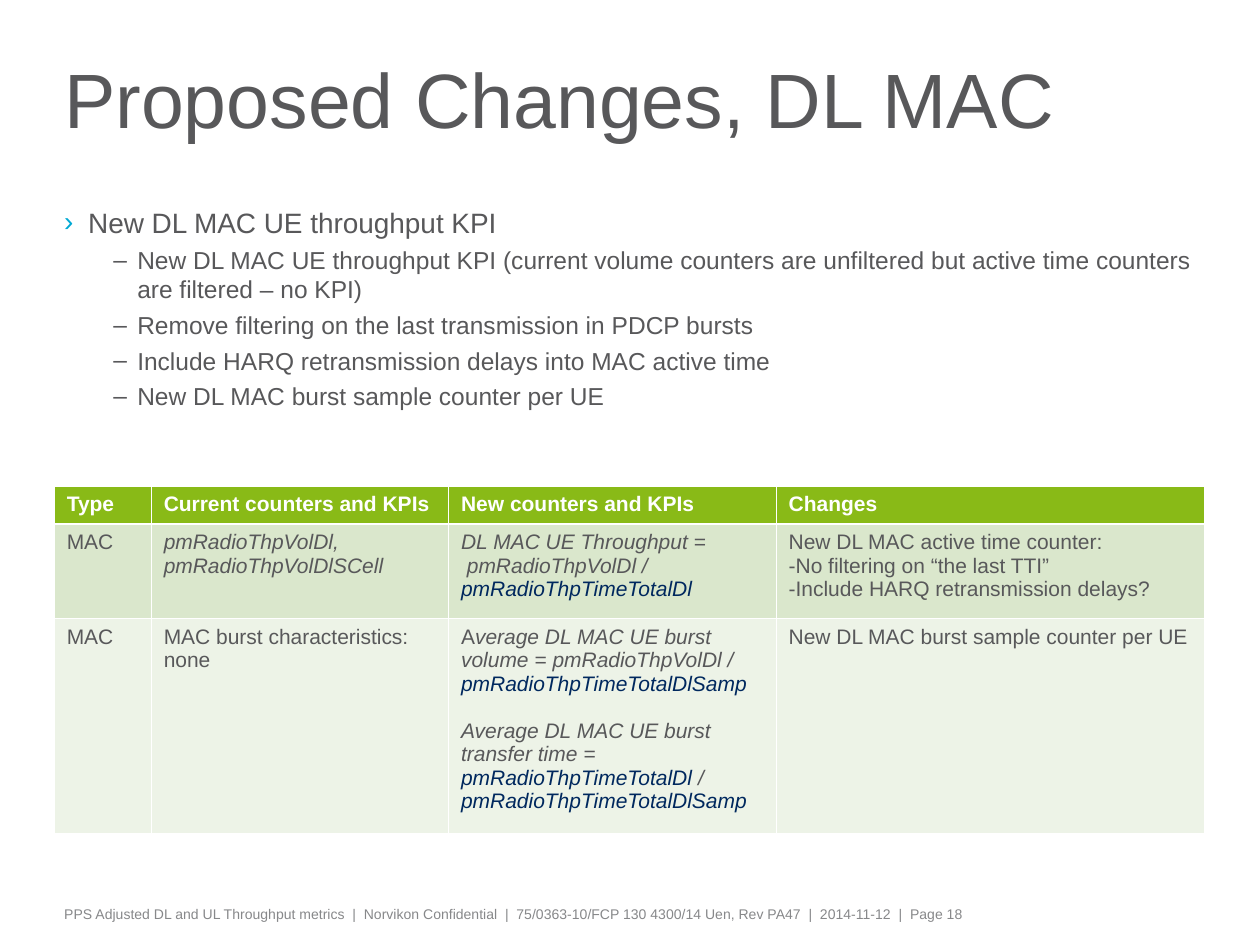
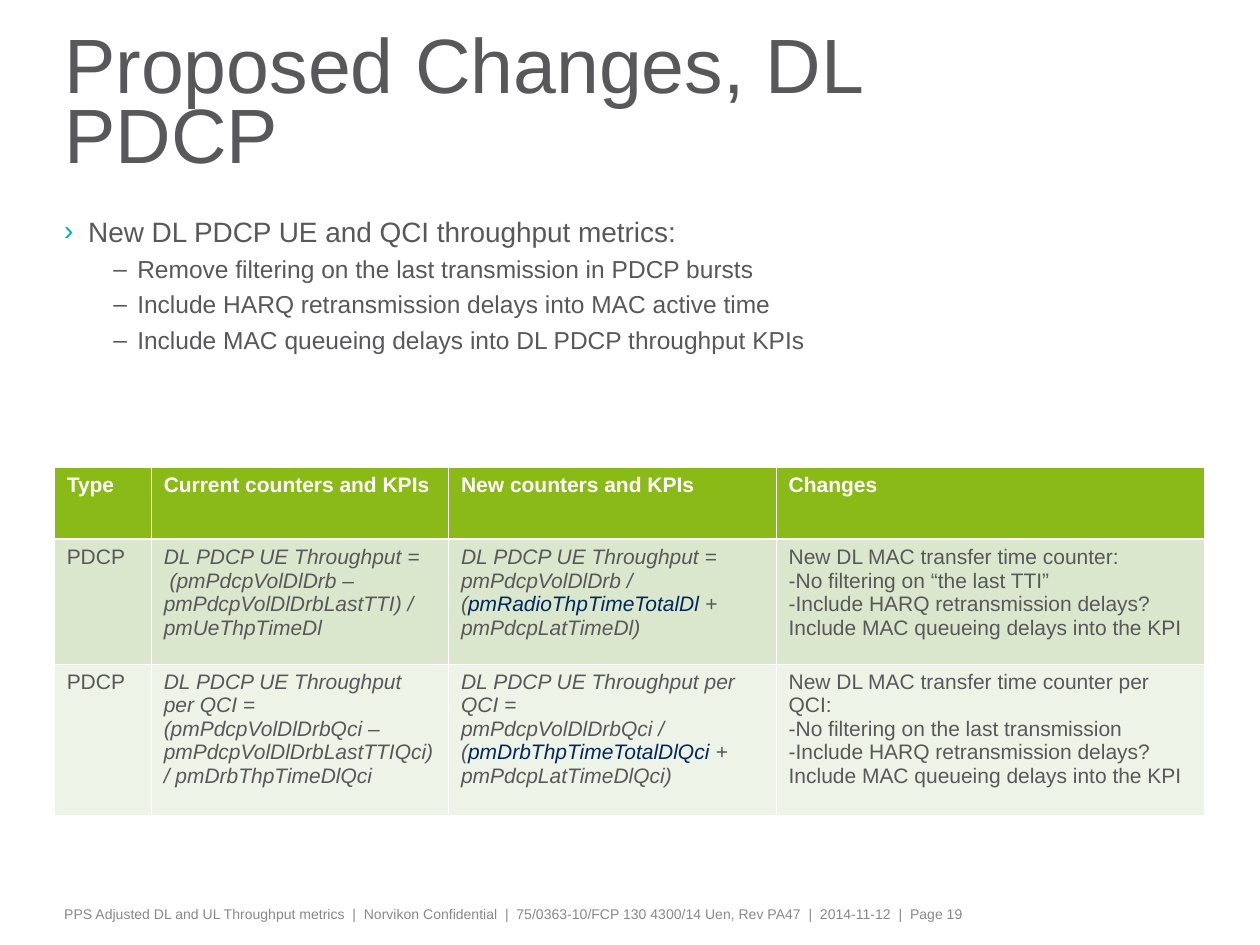
from collections import namedtuple
from dataclasses import dataclass

from lxml import etree
from pptx import Presentation
from pptx import util as u
from pptx.dml.color import RGBColor
from pptx.enum import text
from pptx.oxml.ns import qn


@dataclass(frozen=True)
class Theme:
    font: str = "Arial"
    body: str = "58585A"
    muted: str = "87888A"
    navy: str = "00285E"
    white: str = "FFFFFF"
    accent: str = "00A9D4"
    header_fill: str = "89BA17"
    row_fills: tuple = ("DAE7CC", "EDF3E7")
    title_size: float = 44
    bullet_sizes: tuple = (16, 14)
    table_size: float = 12
    footer_size: float = 8
    thin_line: float = 0.45
    thick_line: float = 1.47


THEME = Theme()
WIDTH, HEIGHT = u.Inches(10), u.Inches(7.5)

# Shared grid, in percent of the slide's width or height
LEFT, CONTENT_WIDTH, TITLE_WIDTH, FOOTER_WIDTH = 4.3, 91.3, 82, 80.9
COLUMNS = (7.7, 23.6, 26, 34)
HEADINGS = ("Type", "Current counters and KPIs", "New counters and KPIs", "Changes")
FOOTER = ("PPS Adjusted DL and UL Throughput metrics  |  Norvikon Confidential  |  "
          "75/0363-10/FCP 130 4300/14 Uen, Rev PA47  |  2014-11-12  |  Page {}")

# Styled pieces of a table cell
Span = namedtuple("Span", "text color italic bold")


def plain(words):
    return Span(words, THEME.body, False, False)


def formula(words):
    return Span(words, THEME.body, True, False)


def counter(words):
    return Span(words, THEME.navy, True, False)


def heading(words):
    return Span(words, THEME.white, False, True)


def lines(style, *texts):
    return [[style(words)] for words in texts]


def across(percent):
    return round(WIDTH * percent / 100)


def down(percent):
    return round(HEIGHT * percent / 100)


def style_font(font, size, color, bold=False, italic=False):
    font.name, font.size = THEME.font, u.Pt(size)
    font.bold, font.italic = bold, italic
    font.color.rgb = RGBColor.from_string(color)


def set_frame(frame, vertical_inset=0.0, anchor=text.MSO_ANCHOR.TOP):
    frame.word_wrap = True
    frame.auto_size = text.MSO_AUTO_SIZE.NONE
    frame.vertical_anchor = anchor
    frame.margin_left = frame.margin_right = u.Inches(0.08)
    frame.margin_top = frame.margin_bottom = u.Inches(vertical_inset)


def add_box(page, top, width, height, vertical_inset=0.0):
    box = page.shapes.add_textbox(across(LEFT), down(top), across(width), down(height))
    set_frame(box.text_frame, vertical_inset)
    return box.text_frame


def add_title(page, words):
    title = page.shapes.title
    title.left, title.top = across(LEFT), down(3.47)
    title.width, title.height = across(TITLE_WIDTH), down(15.87)
    frame = title.text_frame
    frame.text = words
    set_frame(frame, anchor=text.MSO_ANCHOR.MIDDLE)
    para = frame.paragraphs[0]
    para.alignment = text.PP_ALIGN.LEFT
    para.line_spacing = 0.75
    style_font(para.runs[0].font, THEME.title_size, THEME.body)


def add_footer(page, number):
    frame = add_box(page, 95.2, FOOTER_WIDTH, 3.2, 0.05)
    frame.text = FOOTER.format(number)
    style_font(frame.paragraphs[0].runs[0].font, THEME.footer_size, THEME.muted)


def set_bullet(para, character, color, indent):
    properties = para._p.get_or_add_pPr()
    properties.set("marL", str(u.Inches(indent)))
    properties.set("indent", str(-u.Inches(0.19)))
    bullet_color = etree.SubElement(properties, qn("a:buClr"))
    etree.SubElement(bullet_color, qn("a:srgbClr"), val=color)
    etree.SubElement(properties, qn("a:buFont"), typeface=THEME.font)
    etree.SubElement(properties, qn("a:buChar"), char=character)


def add_bullets(page, top, height, lead, points):
    frame = add_box(page, top, CONTENT_WIDTH, height)
    frame.text = "\n".join([lead, *points])
    for index, para in enumerate(frame.paragraphs):
        para.level = min(index, 1)
        if index == 0:
            set_bullet(para, "›", THEME.accent, 0.19)
        else:
            set_bullet(para, "–", THEME.body, 0.58)
            para.space_before = u.Pt(3.5)
        style_font(para.runs[0].font, THEME.bullet_sizes[para.level], THEME.body)


def set_borders(cell, top, bottom):
    properties = cell._tc.get_or_add_tcPr()
    widths = {"a:lnL": THEME.thin_line, "a:lnR": THEME.thin_line,
              "a:lnT": top, "a:lnB": bottom}
    for index, (tag, width) in enumerate(widths.items()):
        line = etree.Element(qn(tag), w=str(u.Pt(width)))
        fill = etree.SubElement(line, qn("a:solidFill"))
        etree.SubElement(fill, qn("a:srgbClr"), val=THEME.white)
        properties.insert(index, line)


def fill_cell(cell, paragraphs, fill, gap):
    cell.margin_left = cell.margin_right = u.Inches(0.1)
    cell.margin_top = cell.margin_bottom = u.Inches(0.05)
    cell.fill.solid()
    cell.fill.fore_color.rgb = RGBColor.from_string(fill)
    frame = cell.text_frame
    for index, spans in enumerate(paragraphs):
        para = frame.add_paragraph() if index else frame.paragraphs[0]
        if index and gap:
            para.space_before = u.Pt(gap)
        for span in spans:
            run = para.add_run()
            run.text = span.text
            style_font(run.font, THEME.table_size, span.color, span.bold, span.italic)


def add_counter_table(page, top, row_heights, body_rows, gaps=None):
    """Gaps maps (row, column) to the space between that cell's paragraphs."""
    rows = [[lines(heading, words) for words in HEADINGS], *body_rows]
    fills = (THEME.header_fill, *THEME.row_fills)
    table = page.shapes.add_table(
        len(rows), len(COLUMNS), across(LEFT), down(top),
        across(CONTENT_WIDTH), down(sum(row_heights))).table
    for column, width in zip(table.columns, COLUMNS):
        column.width = across(width)
    for row_index, (row, height) in enumerate(zip(rows, row_heights)):
        table.rows[row_index].height = down(height)
        above = THEME.thick_line if row_index == 1 else THEME.thin_line
        below = THEME.thick_line if row_index == 0 else THEME.thin_line
        for column_index, paragraphs in enumerate(row):
            cell = table.cell(row_index, column_index)
            gap = (gaps or {}).get((row_index, column_index))
            fill_cell(cell, paragraphs, fills[row_index], gap)
            set_borders(cell, above, below)


def add_page(deck, title, number):
    page = deck.slides.add_slide(deck.slide_layouts.get_by_name("Title Only"))
    add_footer(page, number)
    add_title(page, title)
    return page


def build_mac_page(deck):
    page = add_page(deck, "Proposed Changes, DL MAC", 18)
    add_counter_table(page, 51.47, (4, 10, 22.67), [
        [lines(plain, "MAC"),
         lines(formula, "pmRadioThpVolDl,", "pmRadioThpVolDlSCell"),
         [[formula("DL MAC UE Throughput =")],
          [formula(" pmRadioThpVolDl / "), counter("pmRadioThpTimeTotalDl")]],
         lines(plain, "New DL MAC active time counter:",
               "-No filtering on “the last TTI”",
               "-Include HARQ retransmission delays?")],
        [lines(plain, "MAC"),
         lines(plain, "MAC burst characteristics: none"),
         [[plain("A"), formula("verage DL MAC UE burst volume = pmRadioThpVolDl / "),
           counter("pmRadioThpTimeTotalDlSamp")],
          [formula("Average DL MAC UE burst transfer time = "),
           counter("pmRadioThpTimeTotalDl"), formula(" / "),
           counter("pmRadioThpTimeTotalDlSamp")]],
         lines(plain, "New DL MAC burst sample counter per UE")],
    ], gaps={(2, 2): 13.5})
    add_bullets(page, 21.73, 22.67, "New DL MAC UE throughput KPI", [
        "New DL MAC UE throughput KPI (current volume counters are unfiltered "
        "but active time counters are filtered – no KPI)",
        "Remove filtering on the last transmission in PDCP bursts",
        "Include HARQ retransmission delays into MAC active time",
        "New DL MAC burst sample counter per UE",
    ])


def build_pdcp_page(deck):
    page = add_page(deck, "Proposed Changes, DL PDCP", 19)
    shared_changes = ("-Include HARQ retransmission delays?",
                      "Include MAC queueing delays into the KPI")
    add_counter_table(page, 49.47, (7.6, 13.2, 16), [
        [lines(plain, "PDCP"),
         lines(formula, "DL PDCP UE Throughput =",
               " (pmPdcpVolDlDrb – pmPdcpVolDlDrbLastTTI) / pmUeThpTimeDl"),
         [[formula("DL PDCP UE Throughput = pmPdcpVolDlDrb / ("),
           counter("pmRadioThpTimeTotalDl "), formula("+ pmPdcpLatTimeDl)")]],
         lines(plain, "New DL MAC transfer time counter:",
               "-No filtering on “the last TTI”", *shared_changes)],
        [lines(plain, "PDCP"),
         lines(formula, "DL PDCP UE Throughput per QCI =",
               "(pmPdcpVolDlDrbQci – pmPdcpVolDlDrbLastTTIQci) / pmDrbThpTimeDlQci"),
         [[formula("DL PDCP UE Throughput per QCI =")],
          [formula("pmPdcpVolDlDrbQci / ("), counter("pmDrbThpTimeTotalDlQci "),
           formula("+ pmPdcpLatTimeDlQci)")]],
         lines(plain, "New DL MAC transfer time counter per QCI:",
               "-No filtering on the last transmission", *shared_changes)],
    ])
    add_bullets(page, 22.67, 17.2, "New DL PDCP UE and QCI throughput metrics:", [
        "Remove filtering on the last transmission in PDCP bursts",
        "Include HARQ retransmission delays into MAC active time",
        "Include MAC queueing delays into DL PDCP throughput KPIs",
    ])


def main():
    deck = Presentation()
    deck.slide_width, deck.slide_height = WIDTH, HEIGHT
    build_mac_page(deck)
    build_pdcp_page(deck)
    deck.save("out.pptx")


if __name__ == "__main__":
    main()
